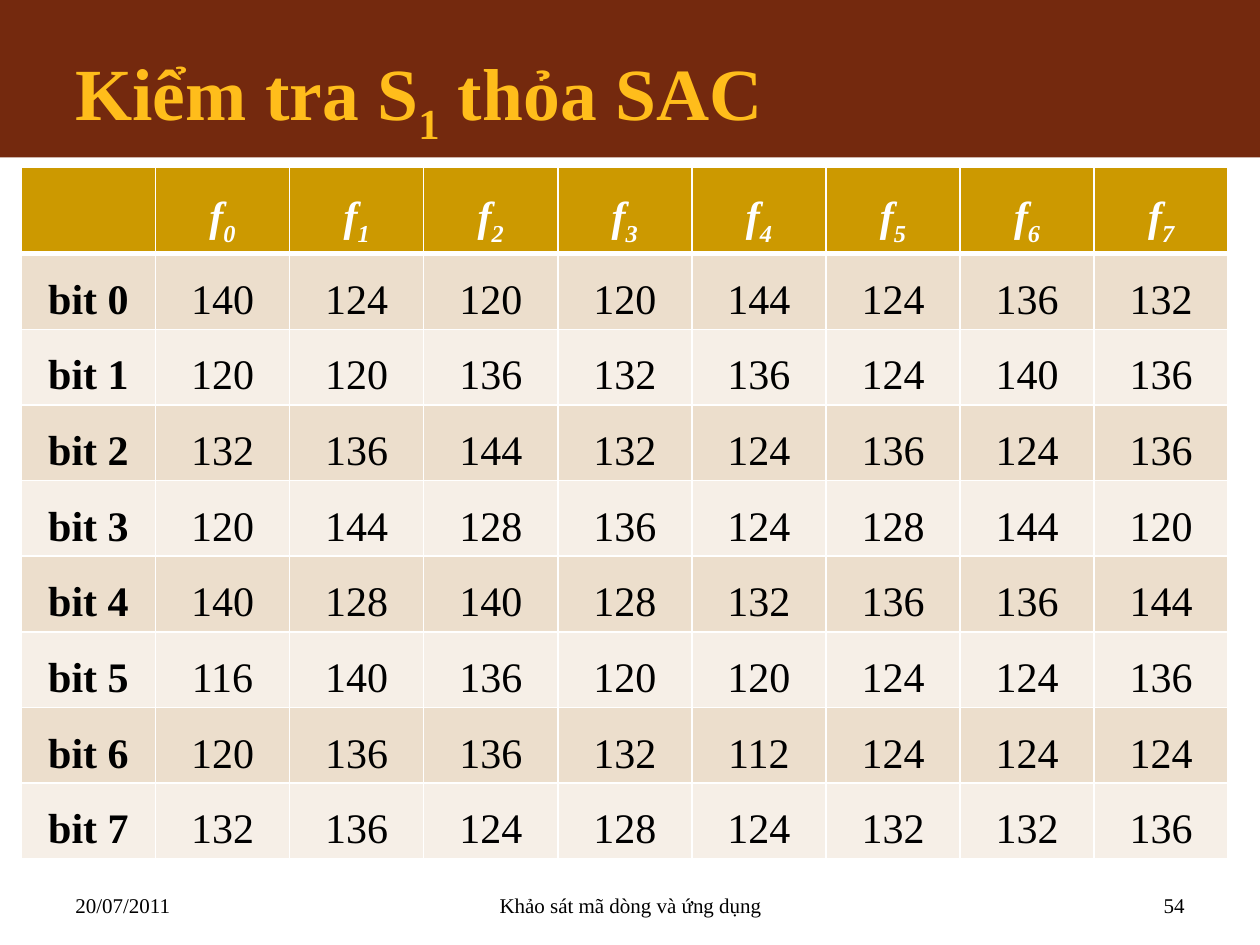
import pptx
import pptx.util
import pptx.dml.color
import pptx.enum.shapes
import pptx.enum.text
import pptx.oxml
import pptx.oxml.ns

Inches, Pt = pptx.util.Inches, pptx.util.Pt
ALIGN, ANCHOR = pptx.enum.text.PP_ALIGN, pptx.enum.text.MSO_ANCHOR

# Content: runs are (text, is_subscript)
TITLE = [("Kiểm tra S", False), ("1", True), (" thỏa SAC", False)]
BIT_ROWS = [
    [140, 124, 120, 120, 144, 124, 136, 132],
    [120, 120, 136, 132, 136, 124, 140, 136],
    [132, 136, 144, 132, 124, 136, 124, 136],
    [120, 144, 128, 136, 124, 128, 144, 120],
    [140, 128, 140, 128, 132, 136, 136, 144],
    [116, 140, 136, 120, 120, 124, 124, 136],
    [120, 136, 136, 132, 112, 124, 124, 124],
    [132, 136, 124, 128, 124, 132, 132, 136],
]
FOOTERS = [  # text, left, width, alignment
    ("20/07/2011", 0.5, 2.33, ALIGN.LEFT),
    ("Khảo sát mã dòng và ứng dụng", 3.42, 3.17, ALIGN.CENTER),
    ("54", 7.17, 2.33, ALIGN.RIGHT),
]
COLORS = {
    "band": "74290E", "accent": "FFBD1B", "header": "CC9900",
    "odd": "ECDECC", "even": "F6EFE7", "white": "FFFFFF", "black": "000000",
}
FONT = "Times New Roman"
TABLE_LEFT, TABLE_TOP, TABLE_WIDTH = 0.17, 1.33, 9.58
HEADER_HEIGHT, BODY_HEIGHT = 0.67, 4.66


def rgb(name):
    return pptx.dml.color.RGBColor.from_string(COLORS[name])


def add_runs(paragraph, runs, size, color, bold=False, italic=False):
    for text, subscript in runs:
        run = paragraph.add_run()
        run.text = text
        font = run.font
        font.name, font.size = FONT, Pt(size)
        font.bold, font.italic = bold, italic
        font.color.rgb = rgb(color)
        if subscript:
            run._r.get_or_add_rPr().set("baseline", "-25000")


def add_text(slide, box, runs, size, color, anchor, align=ALIGN.LEFT, bold=False):
    frame = slide.shapes.add_textbox(*map(Inches, box)).text_frame
    frame.word_wrap = True
    frame.vertical_anchor = anchor
    paragraph = frame.paragraphs[0]
    paragraph.alignment = align
    add_runs(paragraph, runs, size, color, bold)


def set_borders(cell, widths):
    properties = cell._tc.get_or_add_tcPr()
    for index, (side, width) in enumerate(widths.items()):
        properties.insert(index, pptx.oxml.parse_xml(
            f'<a:ln{side} {pptx.oxml.ns.nsdecls("a")} w="{Pt(width)}"><a:solidFill>'
            f'<a:srgbClr val="{COLORS["white"]}"/></a:solidFill></a:ln{side}>'))


def fill_cell(cell, row, column):
    header = row == 0
    cell.fill.solid()
    cell.fill.fore_color.rgb = rgb("header" if header else "odd" if row % 2 else "even")
    set_borders(cell, {"L": 1, "R": 1, "T": 3 if row == 1 else 1, "B": 3 if header else 1})
    if header and column == 0:
        return
    if header:
        runs = [("f", False), (str(column - 1), True)]
    elif column == 0:
        runs = [(f"bit {row - 1}", False)]
    else:
        runs = [(str(BIT_ROWS[row - 1][column - 1]), False)]
    cell.margin_left = cell.margin_right = Inches(0.07)
    cell.margin_top = cell.margin_bottom = 0
    paragraph = cell.text_frame.paragraphs[0]
    paragraph.alignment = ALIGN.CENTER
    paragraph.line_spacing = 1.5
    paragraph.space_after = Pt(10)
    add_runs(paragraph, runs, 24, "white" if header else "black",
             bold=header or column == 0, italic=header)


def add_bit_table(slide):
    row_count, column_count = len(BIT_ROWS) + 1, len(BIT_ROWS[0]) + 1
    table = slide.shapes.add_table(
        row_count, column_count, Inches(TABLE_LEFT), Inches(TABLE_TOP),
        Inches(TABLE_WIDTH), Inches(HEADER_HEIGHT + BODY_HEIGHT)).table
    for column in table.columns:
        column.width = Inches(TABLE_WIDTH / column_count)
    for row_index, row in enumerate(table.rows):
        row.height = Inches(BODY_HEIGHT / len(BIT_ROWS) if row_index else HEADER_HEIGHT)
        for column_index, cell in enumerate(row.cells):
            fill_cell(cell, row_index, column_index)


def main():
    presentation = pptx.Presentation()
    presentation.slide_width, presentation.slide_height = Inches(10), Inches(7.5)
    slide = presentation.slides.add_slide(presentation.slide_layouts[6])

    # Title band
    band = slide.shapes.add_shape(
        pptx.enum.shapes.MSO_SHAPE.RECTANGLE, 0, 0, Inches(10), Inches(1.25))
    band.shadow.inherit = False
    band.fill.solid()
    band.fill.fore_color.rgb = rgb("band")
    band.line.fill.background()

    # Footer rule
    rule = slide.shapes.add_connector(
        pptx.enum.shapes.MSO_CONNECTOR.STRAIGHT,
        Inches(0.5), Inches(6.75), Inches(9.5), Inches(6.75))
    rule.line.color.rgb = rgb("accent")
    rule.line.width = Pt(1.5)
    rule._element.spPr.append(pptx.oxml.parse_xml(
        f'<a:effectLst {pptx.oxml.ns.nsdecls("a")}/>'))

    # Title, table and footers
    add_text(slide, (0.5, 0.3, 9, 0.95), TITLE, 42, "accent", ANCHOR.MIDDLE, bold=True)
    add_bit_table(slide)
    for text, left, width, align in FOOTERS:
        add_text(slide, (left, 6.83, width, 0.5), [(text, False)], 12, "black",
                 ANCHOR.BOTTOM, align)

    presentation.save("out.pptx")


if __name__ == "__main__":
    main()
